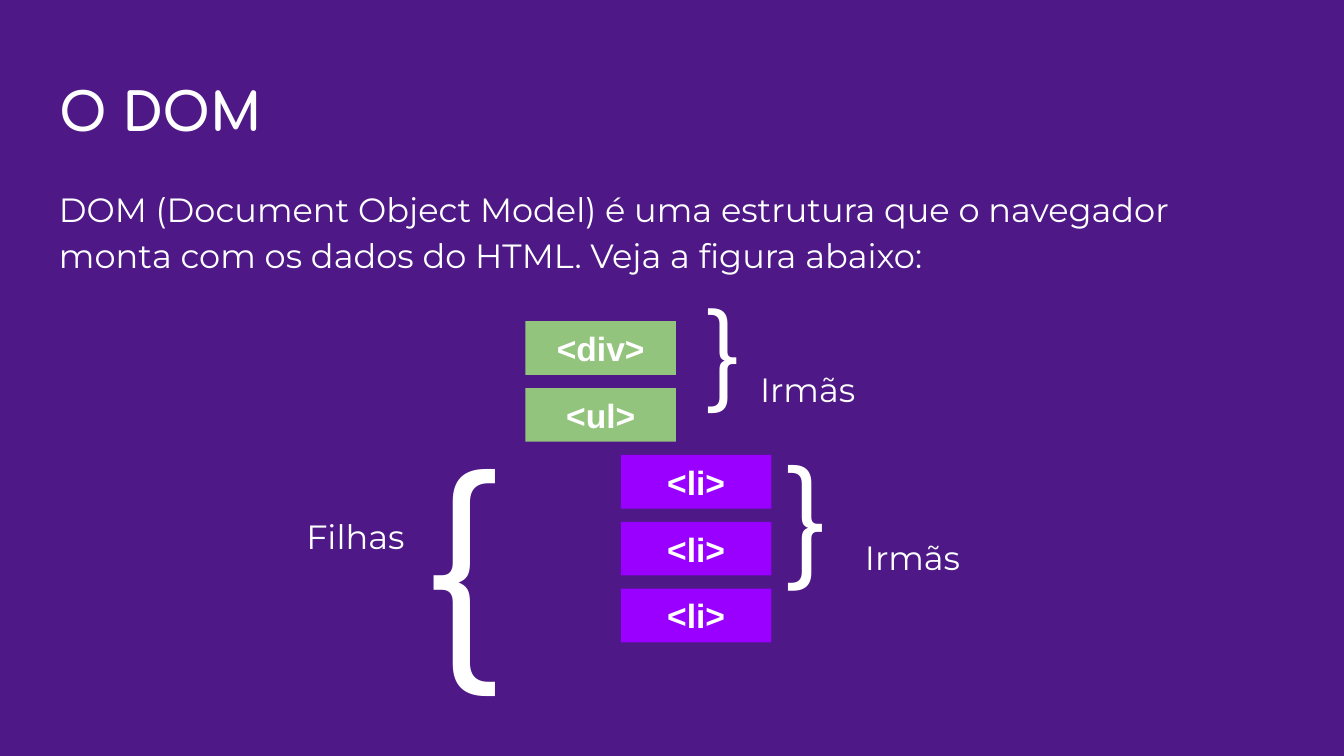
import pptx
import pptx.dml.color
import pptx.enum.shapes
import pptx.enum.text
import pptx.util

Inches = pptx.util.Inches
Align = pptx.enum.text.PP_ALIGN
WHITE = "FFFFFF"


def paint(color_holder, value):
    """Give a fill or a font a solid colour."""
    if hasattr(color_holder, "solid"):
        color_holder.solid()
        color_holder = color_holder.fore_color
    else:
        color_holder = color_holder.color
    color_holder.rgb = pptx.dml.color.RGBColor.from_string(value)


def write(box, text, font, size, bold=False, align=Align.CENTER):
    """Put one white paragraph into a shape and return it."""
    frame = box.text_frame
    frame.word_wrap = True
    frame.margin_left = frame.margin_right = Inches(0.1)
    frame.margin_top = frame.margin_bottom = Inches(0.1)
    para = frame.paragraphs[0]
    para.text = text
    para.alignment = align
    para.font.name = font
    para.font.size = pptx.util.Pt(size)
    para.font.bold = bold
    paint(para.font, WHITE)
    return para


# Widescreen page, 16:9
deck = pptx.Presentation()
deck.slide_width = Inches(10)
deck.slide_height = deck.slide_width * 9 // 16
page = deck.slides.add_slide(deck.slide_layouts[6])
paint(page.background.fill, "4E1887")

# Title
title = page.shapes.add_textbox(Inches(0.34), Inches(0.49), Inches(9.32), Inches(0.63))
write(title, "O DOM", "Comfortaa", 28, bold=True, align=Align.LEFT)

# Tag blocks: equal rows from first to last, children indented by one column
LEFT, INDENT = 3.91, 0.71
FIRST_TOP, LAST_TOP = 2.39, 4.38
tags = [("<div>", 0), ("<ul>", 0), ("<li>", 1), ("<li>", 1), ("<li>", 1)]
row_step = (LAST_TOP - FIRST_TOP) / (len(tags) - 1)
level_colors = ["93C47D", "9900FF"]
for row, (tag, level) in enumerate(tags):
    block = page.shapes.add_shape(
        pptx.enum.shapes.MSO_SHAPE.RECTANGLE,
        Inches(LEFT + level * INDENT), Inches(FIRST_TOP + row * row_step),
        Inches(1.12), Inches(0.4))
    block.shadow.inherit = False
    block.line.fill.background()
    paint(block.fill, level_colors[level])
    block.text_frame.vertical_anchor = pptx.enum.text.MSO_ANCHOR.MIDDLE
    write(block, tag, "Arial", 18, bold=True)

# Explanation, labels and braces: text, left, top, width, height, size, rotation, align
notes = [
    ("DOM (Document Object Model) é uma estrutura que o navegador monta "
     "com os dados do HTML. Veja a figura abaixo:",
     0.34, 1.26, 9.32, 0.92, 18, 0, Align.LEFT),
    ("Irmãs", 5.26, 2.6, 1.5, 0.48, 18, 0, Align.CENTER),
    ("Irmãs", 6.04, 3.85, 1.5, 0.48, 18, 0, Align.CENTER),
    ("Filhas", 2.06, 3.69, 1.17, 0.48, 18, 0, Align.CENTER),
    ("{", 3.01, 2.6, 0.83, 2.52, 130, 0, Align.CENTER),
    ("{", 5.74, 3.43, 0.54, 1.51, 72, 180, Align.CENTER),
    ("{", 5.12, 2.45, 0.54, 1.09, 60, 180, Align.CENTER),
]
for text, left, top, width, height, size, rotation, align in notes:
    box = page.shapes.add_textbox(*map(Inches, (left, top, width, height)))
    box.rotation = rotation
    para = write(box, text, "Montserrat", size, align=align)
    para.line_spacing = 1.15
    para.space_after = pptx.util.Pt(16)

deck.save("out.pptx")
